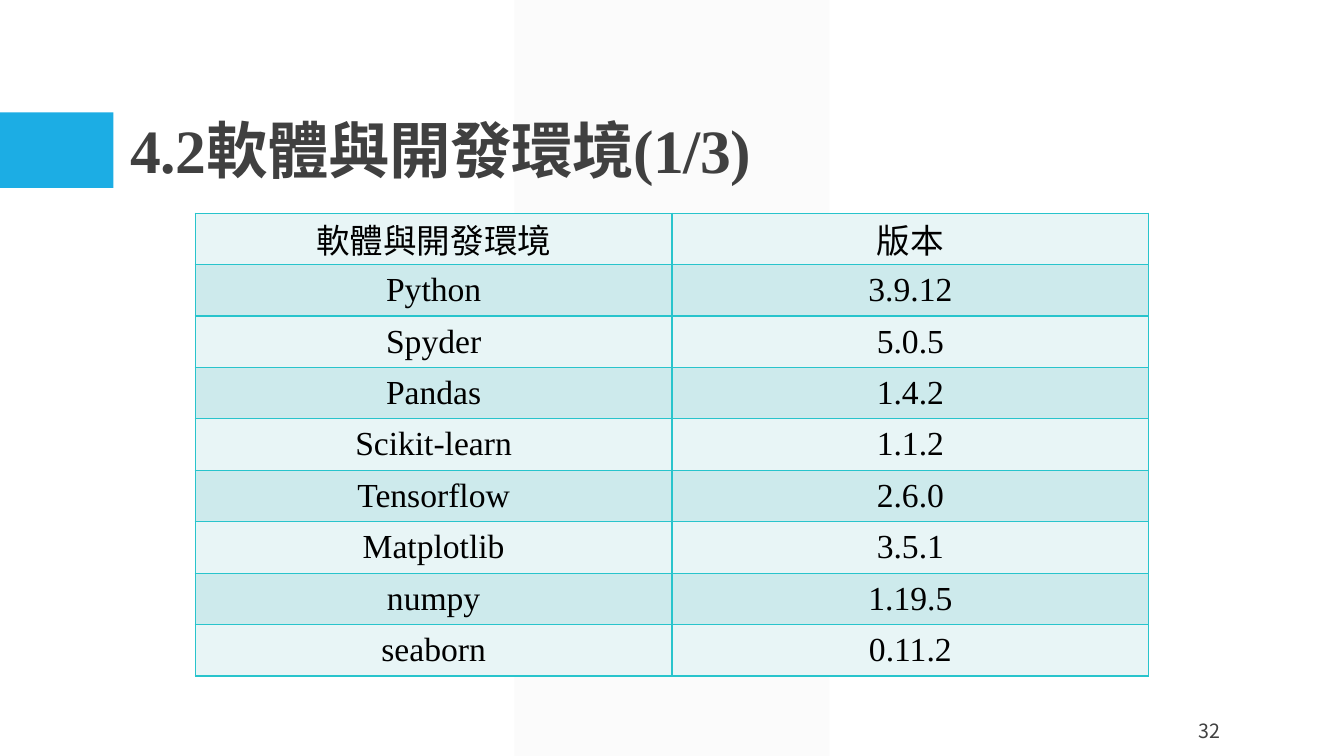
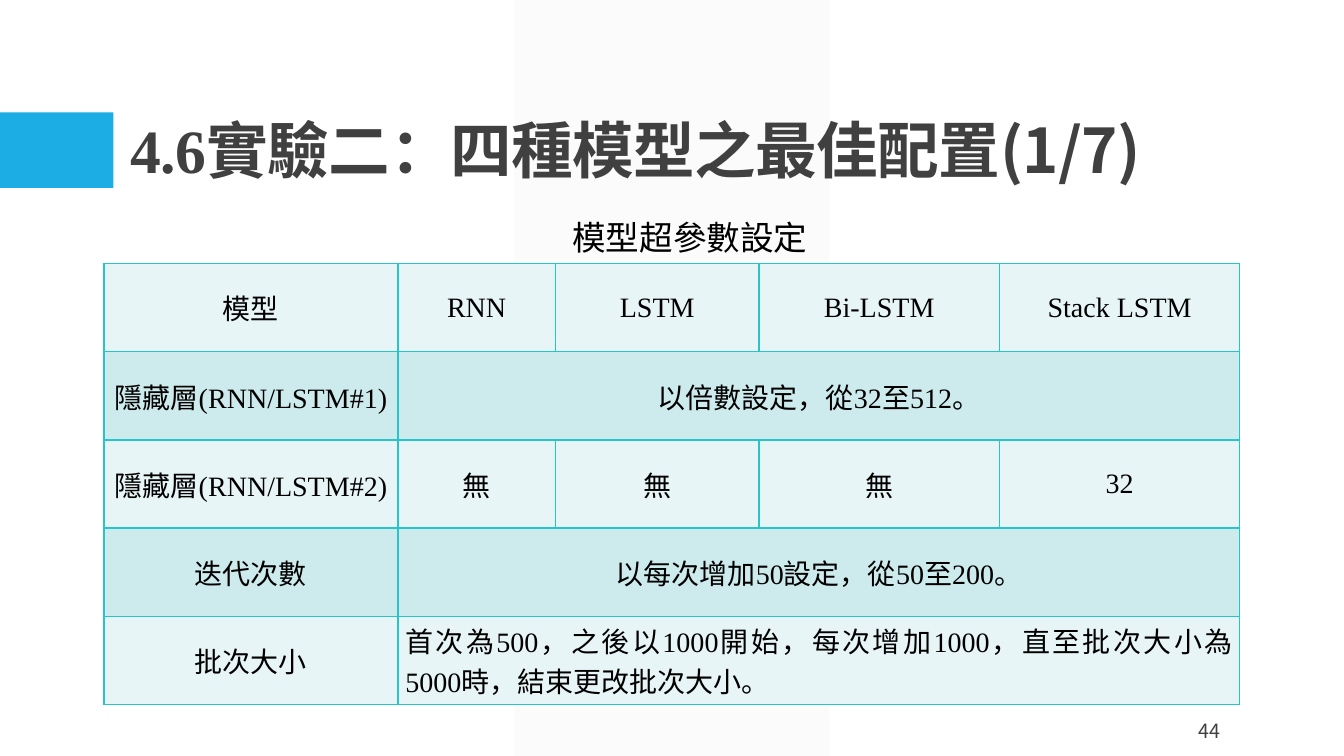
from lxml import etree
from pptx import Presentation
from pptx.dml.color import RGBColor
from pptx.enum.shapes import MSO_SHAPE
from pptx.enum.text import MSO_ANCHOR, MSO_AUTO_SIZE, PP_ALIGN
from pptx.oxml.ns import qn
from pptx.util import Pt

PX = 9525
LEFT, CENTER, RIGHT, JUSTIFY = PP_ALIGN.LEFT, PP_ALIGN.CENTER, PP_ALIGN.RIGHT, PP_ALIGN.JUSTIFY
MIDDLE, BOTTOM = MSO_ANCHOR.MIDDLE, MSO_ANCHOR.BOTTOM
NO_FIT = MSO_AUTO_SIZE.NONE
RECTANGLE, PARALLELOGRAM = MSO_SHAPE.RECTANGLE, MSO_SHAPE.PARALLELOGRAM

LATIN, CJK, CJK_TITLE = "Times New Roman", "Noto Sans CJK TC", "Noto Sans CJK SC"
BLUE, PALE_GRAY, DARK, BLACK = "1CADE4", "F2F2F2", "404040", "000000"
ROW_FILLS, GRID = ("E8F5F6", "CDEAEC"), "28C4CC"

TITLE_BOX = (115, 30, 1056, 153)
PAGE_NUMBER_BOX = (1090, 677, 82, 38)

SOFTWARE = [
    ("軟體與開發環境", "版本"),
    ("Python", "3.9.12"),
    ("Spyder", "5.0.5"),
    ("Pandas", "1.4.2"),
    ("Scikit-learn", "1.1.2"),
    ("Tensorflow", "2.6.0"),
    ("Matplotlib", "3.5.1"),
    ("numpy", "1.19.5"),
    ("seaborn", "0.11.2"),
]
HYPERPARAMETERS = [
    ("模型", "RNN", "LSTM", "Bi-LSTM", "Stack LSTM"),
    ("隱藏層(RNN/LSTM#1)", "以倍數設定，從32至512。"),
    ("隱藏層(RNN/LSTM#2)", "無", "無", "無", "32"),
    ("迭代次數", "以每次增加50設定，從50至200。"),
    ("批次大小", "首次為500，之後以1000開始，每次增加1000，直至批次大小為5000時，結束更改批次大小。"),
]


def px(*lengths):
    """Turn px lengths into EMU."""
    return [length * PX for length in lengths]


def color(hex_value):
    """Turn a hex string into a colour."""
    return RGBColor.from_string(hex_value)


def style(paragraph, size, ink, align, latin=LATIN, bold=False, spacing=0):
    """Set the font and alignment of a whole paragraph."""
    paragraph.alignment = align
    font = paragraph.font
    font.name, font.size, font.bold = latin, Pt(size), bold
    font.color.rgb = color(ink)
    defaults = paragraph._p.get_or_add_pPr().get_or_add_defRPr()
    defaults.set("spc", str(spacing))
    etree.SubElement(defaults, qn("a:ea"), typeface=CJK)


def add_band(layout, slide, preset, box, hex_value, opacity=100):
    """Put a plain coloured band behind the layout's placeholders."""
    band = slide.shapes.add_shape(preset, *px(*box))
    band.shadow.inherit = False
    band.line.fill.background()
    band.fill.solid()
    band.fill.fore_color.rgb = color(hex_value)
    if preset == PARALLELOGRAM:
        band.adjustments[0] = 0
    if opacity < 100:
        tint = band.element.spPr.find(f"{qn('a:solidFill')}/{qn('a:srgbClr')}")
        etree.SubElement(tint, qn("a:alpha"), val=str(opacity * 1000))
    layout.shapes.element.insert(2, band.element)


def style_layout(layout, slide):
    """Give the layout its title place and its two bands."""
    add_band(layout, slide, RECTANGLE, (0, 107, 108, 72), BLUE)
    add_band(layout, slide, PARALLELOGRAM, (490, 0, 300, 720), PALE_GRAY, opacity=30)
    title = layout.placeholders[0]
    title.left, title.top, title.width, title.height = px(*TITLE_BOX)
    title.text_frame.vertical_anchor = BOTTOM
    title.text_frame.auto_size = NO_FIT


def add_page(prs, layout, heading, heading_rest, number):
    """Add a slide with its title and page number."""
    slide = prs.slides.add_slide(layout)
    title = slide.shapes.title.text_frame.paragraphs[0]
    title.add_run().text = heading
    if heading_rest:
        rest = title.add_run()
        rest.text = heading_rest
        rest.font.name = CJK_TITLE
    title.line_spacing = 0.9
    style(title, 44, DARK, LEFT, bold=True, spacing=-50)

    page_number = slide.shapes.add_textbox(*px(*PAGE_NUMBER_BOX)).text_frame
    page_number.word_wrap = True
    page_number.vertical_anchor = MIDDLE
    page_number.text = str(number)
    style(page_number.paragraphs[0], 14, DARK, RIGHT, latin=CJK)
    return slide


def add_borders(cell):
    """Draw one-point grid lines on all four sides of a cell."""
    properties = cell._tc.get_or_add_tcPr()
    for position, side in enumerate(("lnL", "lnR", "lnT", "lnB")):
        line = etree.Element(qn(f"a:{side}"), w=str(Pt(1)))
        fill = etree.SubElement(line, qn("a:solidFill"))
        etree.SubElement(fill, qn("a:srgbClr"), val=GRID)
        properties.insert(position, line)


def add_grid(slide, left, top, widths, row_height, rows, size):
    """Add a striped table; the last cell of a short row spans the rest."""
    box = px(left, top, sum(widths), row_height * len(rows))
    table = slide.shapes.add_table(len(rows), len(widths), *box).table
    table.first_row = table.horz_banding = False
    for column, width in zip(table.columns, widths):
        column.width = width * PX
    for r, texts in enumerate(rows):
        table.rows[r].height = row_height * PX
        for c in range(len(widths)):
            cell = table.cell(r, c)
            cell.fill.solid()
            cell.fill.fore_color.rgb = color(ROW_FILLS[r % 2])
            cell.vertical_anchor = MIDDLE
            cell.margin_left = cell.margin_right = 7 * PX
            cell.margin_top = cell.margin_bottom = 0
            add_borders(cell)
            if c < len(texts):
                cell.text = texts[c]
                style(cell.text_frame.paragraphs[0], size, BLACK, CENTER)
        if len(texts) < len(widths):
            table.cell(r, len(texts) - 1).merge(table.cell(r, len(widths) - 1))
    return table


def add_caption(slide, box, wording):
    """Add the centred caption above a table."""
    caption = slide.shapes.add_textbox(*px(*box)).text_frame
    caption.word_wrap = False
    caption.text = wording
    paragraph = caption.paragraphs[0]
    paragraph.line_spacing = 1.5
    paragraph.space_before = Pt(6)
    style(paragraph, 24, BLACK, CENTER)


def main():
    """Build both slides and save them."""
    prs = Presentation()
    prs.slide_width, prs.slide_height = px(1280, 720)
    layout = prs.slide_layouts[5]

    software = add_page(prs, layout, "4.2軟體與開發環境(1/3)", "", 32)
    style_layout(layout, software)
    add_grid(software, 186, 203, (454, 454), 49, SOFTWARE, 24)

    models = add_page(prs, layout, "4.6實驗二", "：四種模型之最佳配置(1/7)", 44)
    settings = add_grid(models, 99, 251, (280, 150, 194, 229, 229), 84, HYPERPARAMETERS, 20)
    settings.cell(4, 1).text_frame.paragraphs[0].alignment = JUSTIFY
    add_caption(models, (534, 183, 246, 61), "模型超參數設定")

    prs.save("out.pptx")


if __name__ == "__main__":
    main()
